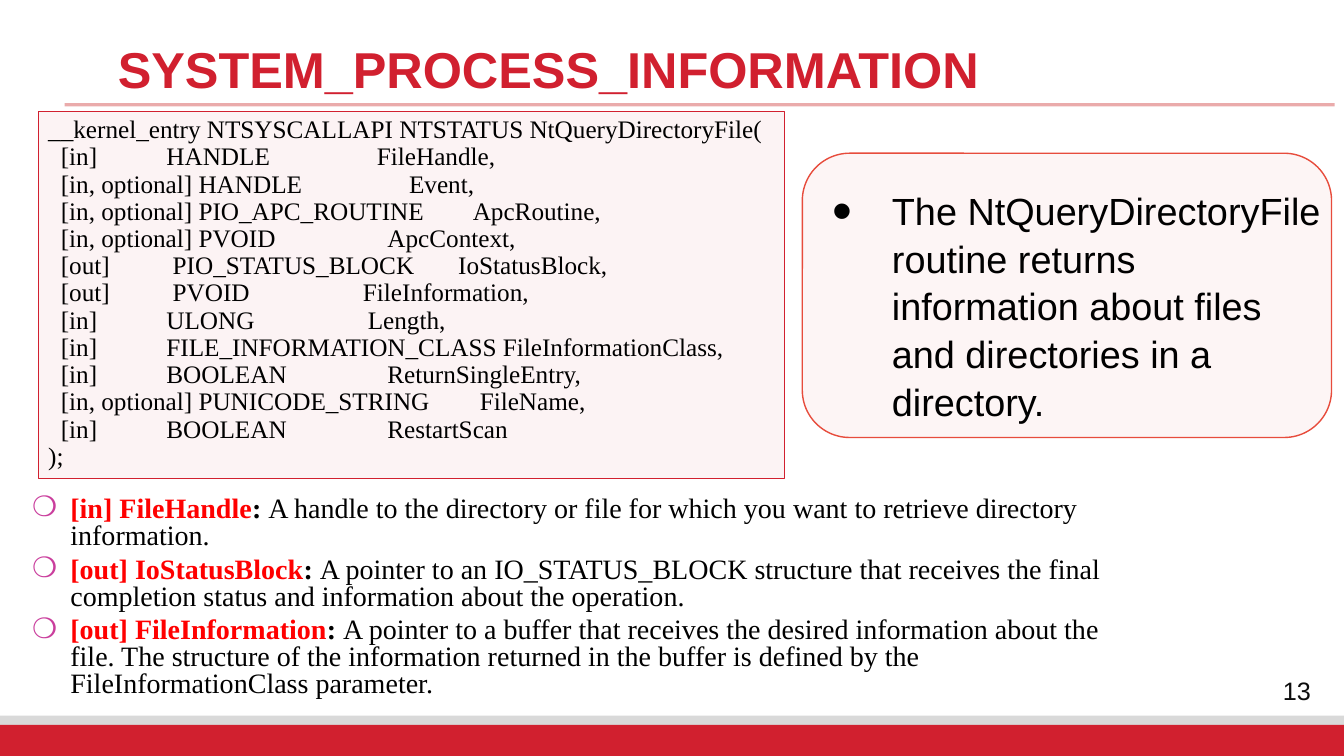
from lxml.etree import SubElement
from pptx import Presentation
from pptx.dml.color import RGBColor
from pptx.enum.shapes import MSO_CONNECTOR, MSO_SHAPE
from pptx.enum.text import MSO_ANCHOR, PP_ALIGN
from pptx.oxml.ns import qn
from pptx.util import Inches, Pt

RED = RGBColor(0xD1, 0x20, 0x2F)
RULE_RED = RGBColor(0xC0, 0x00, 0x00)
CORAL = RGBColor(0xE7, 0x4C, 0x3C)
TERM_RED = RGBColor(0xFF, 0x00, 0x00)
MAGENTA = RGBColor(0xCA, 0x3E, 0x9D)
GREY = RGBColor(0xD9, 0xD9, 0xD9)
INK = RGBColor(0x0D, 0x0D, 0x0D)
BLACK = RGBColor(0x00, 0x00, 0x00)

COLS, ROWS = 160, 90
SANS, SERIF = "Arial", "Times New Roman"


class SlideBuilder:
    """Places elements on a grid of COLS by ROWS cells."""

    def __init__(self, deck):
        self.col = deck.slide_width / COLS
        self.row = deck.slide_height / ROWS
        self.slide = deck.slides.add_slide(deck.slide_layouts[6])

    def place(self, x, y, w, h):
        return (round(x * self.col), round(y * self.row),
                round(w * self.col), round(h * self.row))

    def fade(self, fill_owner, percent):
        color = next(fill_owner.iter(qn("a:srgbClr")))
        SubElement(color, qn("a:alpha"), val=str(percent * 1000))

    def panel(self, cells, color, opacity=100, outline=None, kind=MSO_SHAPE.RECTANGLE):
        panel = self.slide.shapes.add_shape(kind, *self.place(*cells))
        panel.shadow.inherit = False
        panel.fill.solid()
        panel.fill.fore_color.rgb = color
        if opacity < 100:
            self.fade(panel.element.spPr, opacity)
        if outline:
            panel.line.color.rgb = color
            panel.line.width = Pt(outline)
        else:
            panel.line.fill.background()
        return panel

    def rule(self, x1, x2, y, color, width, opacity):
        left, top, right, _ = self.place(x1, y, x2, 0)
        rule = self.slide.shapes.add_connector(
            MSO_CONNECTOR.STRAIGHT, left, top, right, top)
        rule.line.color.rgb = color
        rule.line.width = Pt(width)
        self.fade(rule.element.spPr, opacity)
        SubElement(rule.element.spPr, qn("a:effectLst"))

    def box(self, cells):
        return self.slide.shapes.add_textbox(*self.place(*cells))

    def bullet(self, paragraph, char, color, hanging, indent, scale=100):
        props = paragraph._p.get_or_add_pPr()
        props.set("marL", str(Inches(indent)))
        props.set("indent", str(-Inches(hanging)))
        SubElement(SubElement(props, qn("a:buClr")), qn("a:srgbClr"), val=str(color))
        SubElement(props, qn("a:buSzPct"), val=str(scale * 1000))
        SubElement(props, qn("a:buFont"), typeface=SANS)
        SubElement(props, qn("a:buChar"), char=char)

    def add_text(self, holder, paragraphs, font, size, spacing=1.0, after=0,
                 align=PP_ALIGN.LEFT, anchor=MSO_ANCHOR.TOP, bullet=None):
        """Each paragraph is a list of (text, color, bold) runs."""
        frame = holder.text_frame
        frame.word_wrap = True
        frame.vertical_anchor = anchor
        for index, runs in enumerate(paragraphs):
            paragraph = frame.add_paragraph() if index else frame.paragraphs[0]
            if bullet:
                self.bullet(paragraph, **bullet)
            paragraph.alignment = align
            paragraph.line_spacing = spacing
            paragraph.space_after = Pt(after)
            for text, color, bold in runs:
                run = paragraph.add_run()
                run.text = text
                run.font.name, run.font.size = font, Pt(size)
                run.font.bold, run.font.color.rgb = bold, color


# Content
PARAMETERS = [
    ("[in]", "HANDLE", "FileHandle"),
    ("[in, optional]", "HANDLE", "Event"),
    ("[in, optional]", "PIO_APC_ROUTINE", "ApcRoutine"),
    ("[in, optional]", "PVOID", "ApcContext"),
    ("[out]", "PIO_STATUS_BLOCK", "IoStatusBlock"),
    ("[out]", "PVOID", "FileInformation"),
    ("[in]", "ULONG", "Length"),
    ("[in]", "FILE_INFORMATION_CLASS", "FileInformationClass"),
    ("[in]", "BOOLEAN", "ReturnSingleEntry"),
    ("[in, optional]", "PUNICODE_STRING", "FileName"),
    ("[in]", "BOOLEAN", "RestartScan"),
]
DEFINITIONS = [
    ("[in] FileHandle", "A handle to the directory or file for which you want to "
     "retrieve directory information."),
    ("[out] IoStatusBlock", "A pointer to an IO_STATUS_BLOCK structure that receives "
     "the final completion status and information about the operation."),
    ("[out] FileInformation", "A pointer to a buffer that receives the desired "
     "information about the file. The structure of the information returned in the "
     "buffer is defined by the FileInformationClass parameter."),
]
SUMMARY = ("The NtQueryDirectoryFile routine returns information about files "
           "and directories in a directory.")


def main():
    deck = Presentation()
    deck.slide_width, deck.slide_height = Inches(13.33), Inches(7.5)
    page = SlideBuilder(deck)

    # Footer bars, title rule and page number
    page.panel((0, 85.2, COLS, 4.8), GREY)
    page.panel((0, 86.28, COLS, 3.72), RED)
    page.rule(7.68, 158.88, 12.48, RULE_RED, 2.25, opacity=32)
    page.add_text(page.box((148.92, 79.8, 10.92, 4.68)), [[("13", INK, False)]],
                  SANS, 18, align=PP_ALIGN.CENTER, anchor=MSO_ANCHOR.MIDDLE)

    # Title
    title = page.box((12.84, 4.2, 136.44, 5.76))
    title.text_frame.margin_top = Inches(0.1)
    page.add_text(title, [[("SYSTEM_PROCESS_INFORMATION", RED, True)]], SANS, 36, 0.9)

    # Parameter definitions
    definitions = [[(term, TERM_RED, True), (": ", BLACK, True), (meaning, BLACK, False)]
                   for term, meaning in DEFINITIONS]
    page.add_text(page.box((2.64, 58.56, 129.84, 25.44)), definitions, SERIF, 20, 0.8, after=5,
                  bullet=dict(char="❍", color=MAGENTA, hanging=0.38, indent=0.38))

    # Function signature
    arguments = ",\n".join(f"  {direction:<14} {kind:<22} {name}"
                           for direction, kind, name in PARAMETERS)
    signature = ["__kernel_entry NTSYSCALLAPI NTSTATUS NtQueryDirectoryFile(",
                 *arguments.split("\n"), ");"]
    code = page.panel((4.56, 13.32, 88.8, 43.68), RED, opacity=5, outline=0.75)
    page.add_text(code, [[(line, BLACK, False)] for line in signature], SERIF, 18, 0.9)

    # Summary callout
    page.panel((95.52, 18.24, 63, 33.84), CORAL, opacity=5, outline=1,
               kind=MSO_SHAPE.ROUNDED_RECTANGLE)
    page.add_text(page.box((95.52, 21.48, 63, 28.44)), [[(SUMMARY, BLACK, False)]],
                  SANS, 27, 1.05,
                  bullet=dict(char="•", color=BLACK, hanging=0.59, indent=0.79, scale=150))

    deck.save("out.pptx")


if __name__ == "__main__":
    main()
